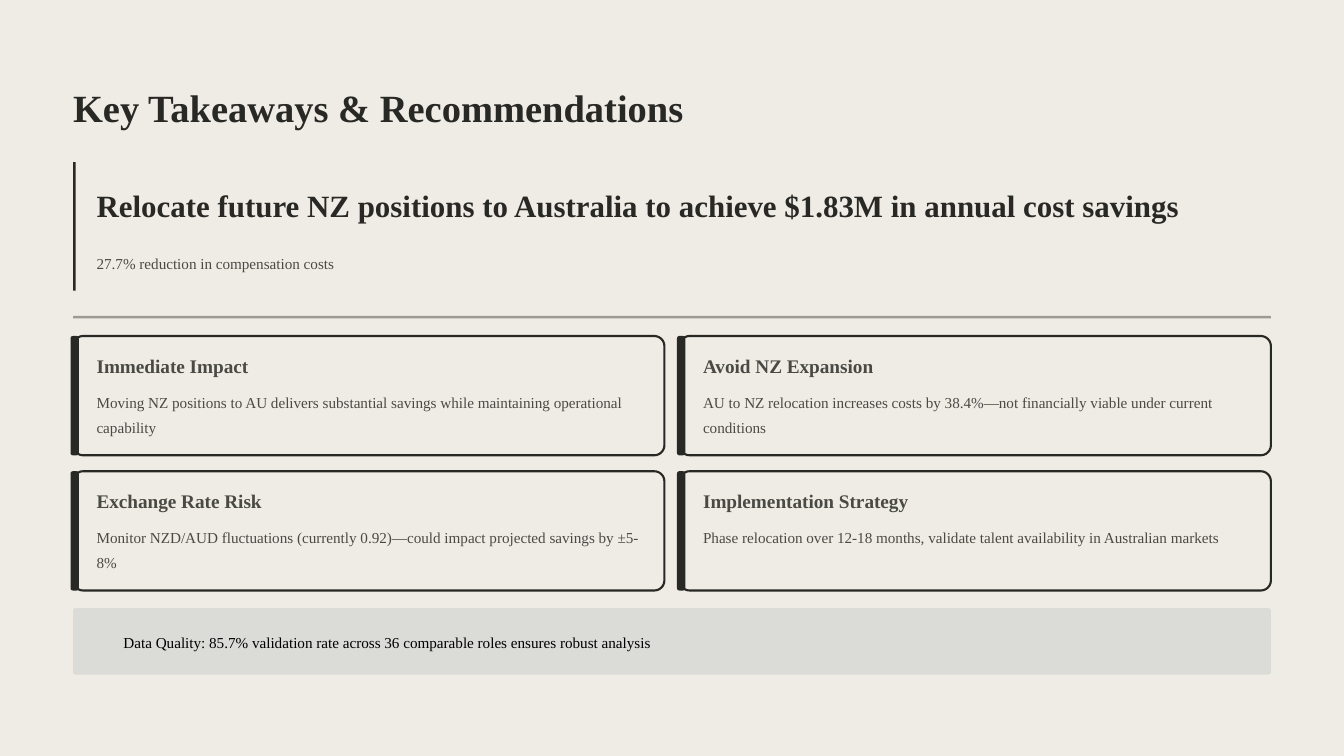
import dataclasses

import lxml.etree
import pptx
import pptx.dml.color
import pptx.enum.shapes
import pptx.enum.text
import pptx.oxml.ns
import pptx.util

Inches = pptx.util.Inches
Pt = pptx.util.Pt
Kind = pptx.enum.shapes.MSO_SHAPE


@dataclasses.dataclass(frozen=True)
class Theme:
    font: str = "Times New Roman"
    paper: str = "EFECE6"
    ink: str = "282824"
    soft: str = "4A4A45"
    band: str = "DBDBD7"
    black: str = "000000"
    title: float = 33
    claim: float = 26.5
    head: float = 16.5
    body: float = 13


THEME = Theme()
LEFT = 0.87
WIDTH = 14.26
CARDS = [
    ("Immediate Impact",
     "Moving NZ positions to AU delivers substantial savings while maintaining operational capability"),
    ("Avoid NZ Expansion",
     "AU to NZ relocation increases costs by 38.4%—not financially viable under current conditions"),
    ("Exchange Rate Risk",
     "Monitor NZD/AUD fluctuations (currently 0.92)—could impact projected savings by ±5-8%"),
    ("Implementation Strategy",
     "Phase relocation over 12-18 months, validate talent availability in Australian markets"),
]


def tint(code):
    return pptx.dml.color.RGBColor.from_string(code)


def place(shape, box):
    shape.left, shape.top, shape.width, shape.height = map(Inches, box)


def write(shape, text, size=THEME.body, color=THEME.soft, bold=False, lead=21, wrap=False):
    frame = shape.text_frame
    frame.margin_left = frame.margin_top = frame.margin_right = frame.margin_bottom = 0
    frame.auto_size = pptx.enum.text.MSO_AUTO_SIZE.NONE
    frame.vertical_anchor = pptx.enum.text.MSO_ANCHOR.TOP
    frame.word_wrap = wrap
    para = frame.paragraphs[0]
    para.alignment = pptx.enum.text.PP_ALIGN.LEFT
    para.line_spacing = Pt(lead)
    run = para.add_run()
    run.text = text
    run.font.name = THEME.font
    run.font.size = Pt(size)
    run.font.bold = bold
    run.font.color.rgb = tint(color)


def label(slide, box, text, **style):
    write(slide.shapes.add_textbox(*map(Inches, box)), text, **style)


def block(slide, box, fill, round=None, line=None, alpha=None):
    kind = Kind.RECTANGLE if round is None else Kind.ROUNDED_RECTANGLE
    shape = slide.shapes.add_shape(kind, *map(Inches, box))
    shape.shadow.inherit = False
    if round is not None:
        shape.adjustments[0] = round
    shape.fill.solid()
    shape.fill.fore_color.rgb = tint(fill)
    if alpha is not None:
        qn = pptx.oxml.ns.qn
        color = shape.fill._xPr.find(".//" + qn("a:srgbClr"))
        lxml.etree.SubElement(color, qn("a:alpha")).set("val", str(alpha * 1000))
    if line:
        shape.line.color.rgb = tint(line)
        shape.line.width = Pt(1.8)
    else:
        shape.line.fill.background()


def card(slide, left, top, head, body):
    block(slide, (left, top, 7.04, 1.42), THEME.paper, round=0.085, line=THEME.ink)
    block(slide, (left - 0.03, top, 0.1, 1.42), THEME.ink, round=0.279)
    inset = left + 0.28
    label(slide, (inset, top + 0.21, 2.6, 0.29), head, size=THEME.head, bold=True, lead=20.5)
    label(slide, (inset, top + 0.61, 6.54, 0.6), body, wrap=True)


def main():
    deck = pptx.Presentation()
    deck.slide_width = Inches(16)
    deck.slide_height = Inches(9)
    slide = deck.slides.add_slide(deck.slide_layouts[5])
    slide.background.fill.solid()
    slide.background.fill.fore_color.rgb = tint(THEME.paper)

    title = slide.shapes.title
    place(title, (LEFT, 0.97, 7.53, 0.58))
    write(title, "Key Takeaways & Recommendations",
          size=THEME.title, color=THEME.ink, bold=True, lead=41.5)

    label(slide, (1.15, 2.21, 13.55, 0.47),
          "Relocate future NZ positions to Australia to achieve $1.83M in annual cost savings",
          size=THEME.claim, color=THEME.ink, bold=True, lead=33)
    label(slide, (1.15, 2.95, 13.98, 0.3), "27.7% reduction in compensation costs")
    block(slide, (LEFT, 1.93, 0.03, 1.53), THEME.ink)
    block(slide, (LEFT, 3.76, WIDTH, 0.03), THEME.soft, alpha=50)

    for index, (head, body) in enumerate(CARDS):
        row, col = divmod(index, 2)
        card(slide, LEFT + col * 7.22, 4 + row * 1.61, head, body)

    block(slide, (LEFT, 7.24, WIDTH, 0.79), THEME.band, round=0.035)
    label(slide, (1.47, 7.47, 13.47, 0.3),
          "Data Quality: 85.7% validation rate across 36 comparable roles ensures robust analysis",
          color=THEME.black)
    deck.save("out.pptx")


if __name__ == "__main__":
    main()
